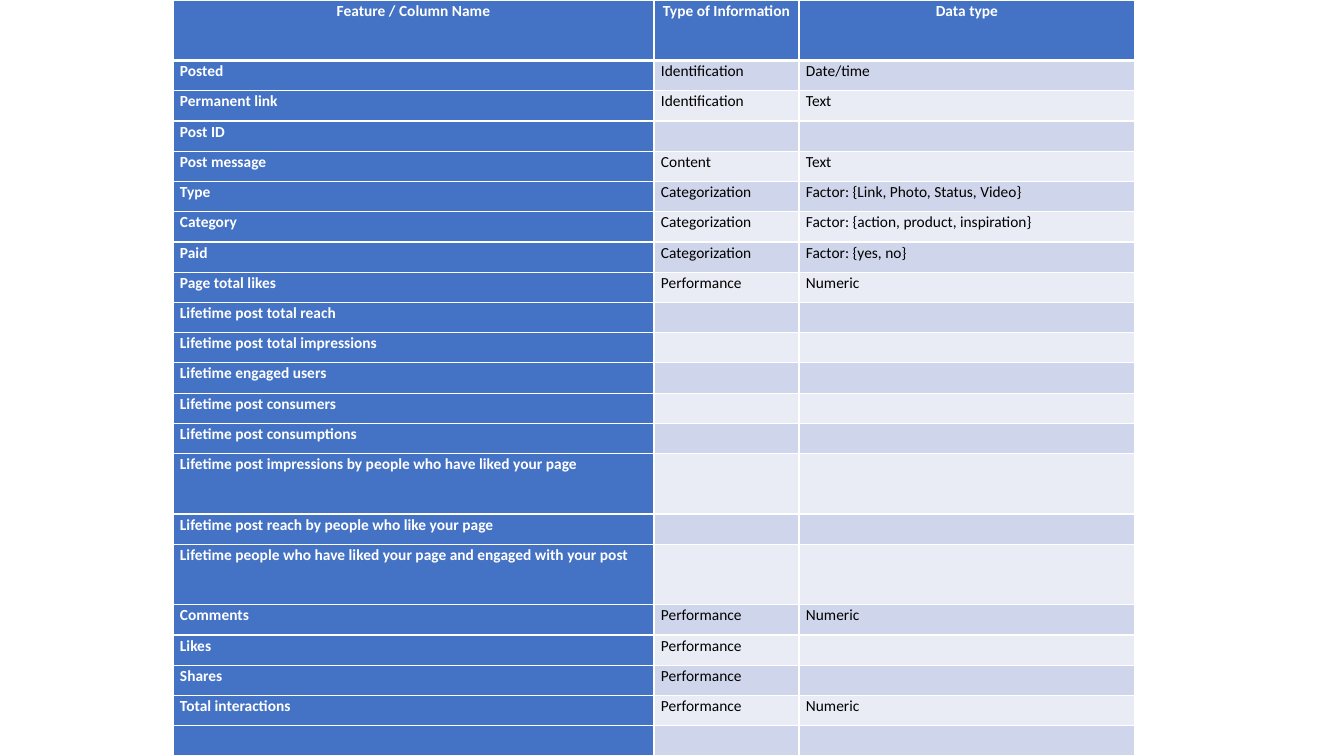
import pptx
import pptx.util
import pptx.dml.color
import pptx.enum.text
import pptx.oxml.ns
import lxml.etree

PX = 914400 / 100.8
WIDE, HIGH = 1344, 756
LEFT = 173
COLS = [481, 145, 336]
TALL = {0, 14, 16}
INK = {"blue": "4472C4", "dark": "CFD5EA", "pale": "E9EBF5",
       "white": "FFFFFF", "black": "000000"}

ROWS = [
    ("Feature / Column Name", "Type of Information", "Data type"),
    ("Posted", "Identification", "Date/time"),
    ("Permanent link", "Identification", "Text"),
    ("Post ID", "", ""),
    ("Post message", "Content", "Text"),
    ("Type", "Categorization", "Factor: {Link, Photo, Status, Video}"),
    ("Category", "Categorization", "Factor: {action, product, inspiration}"),
    ("Paid", "Categorization", "Factor: {yes, no}"),
    ("Page total likes", "Performance", "Numeric"),
    ("Lifetime post total reach", "", ""),
    ("Lifetime post total impressions", "", ""),
    ("Lifetime engaged users", "", ""),
    ("Lifetime post consumers", "", ""),
    ("Lifetime post consumptions", "", ""),
    ("Lifetime post impressions by people who have liked your page", "", ""),
    ("Lifetime post reach by people who like your page", "", ""),
    ("Lifetime people who have liked your page and engaged with your post", "", ""),
    ("Comments", "Performance", "Numeric"),
    ("Likes", "Performance", ""),
    ("Shares", "Performance", ""),
    ("Total interactions", "Performance", "Numeric"),
    ("", "", ""),
]


def emu(px):
    """Turn pixels into EMU."""
    return pptx.util.Emu(round(px * PX))


def edge(cell, side, width):
    """Draw one white border of a cell, width in points."""
    tag = pptx.oxml.ns.qn
    props = cell._tc.get_or_add_tcPr()
    line = lxml.etree.SubElement(props, tag("a:" + side), w=str(pptx.util.Pt(width)))
    fill = lxml.etree.SubElement(line, tag("a:solidFill"))
    lxml.etree.SubElement(fill, tag("a:srgbClr"), val=INK["white"])


deck = pptx.Presentation()
deck.slide_width, deck.slide_height = emu(WIDE), emu(HIGH)
slide = deck.slides.add_slide(deck.slide_layouts[6])

frame = slide.shapes.add_table(len(ROWS), len(COLS), emu(LEFT), 0,
                               emu(sum(COLS)), emu(HIGH))
table = frame.table
table.first_row = table.horz_banding = False
for col, width in zip(table.columns, COLS):
    col.width = emu(width)

# Tall rows take two units of height, the others one
unit = HIGH / (len(ROWS) + len(TALL))
for r, texts in enumerate(ROWS):
    table.rows[r].height = emu(unit * (2 if r in TALL else 1))
    for c, text in enumerate(texts):
        cell = table.cell(r, c)
        head = r == 0 or c == 0
        cell.margin_left = cell.margin_right = emu(7)
        cell.margin_top = cell.margin_bottom = 0

        for side in ("lnL", "lnR", "lnT", "lnB"):
            thick = (r, side) in {(0, "lnB"), (1, "lnT")}
            edge(cell, side, 3 if thick else 1)
        cell.fill.solid()
        shade = "blue" if head else "dark" if r % 2 else "pale"
        cell.fill.fore_color.rgb = pptx.dml.color.RGBColor.from_string(INK[shade])

        para = cell.text_frame.paragraphs[0]
        para.line_spacing = 1.07
        if r == 0:
            para.alignment = pptx.enum.text.PP_ALIGN.CENTER
        if text:
            run = para.add_run()
            run.text = text
            font = run.font
            font.name, font.size, font.bold = "Calibri", pptx.util.Pt(11), head
            tint = INK["white" if head else "black"]
            font.color.rgb = pptx.dml.color.RGBColor.from_string(tint)
        else:
            # Keep empty cells from stretching their row
            lxml.etree.SubElement(para._p, pptx.oxml.ns.qn("a:endParaRPr"), sz="1100")

deck.save("out.pptx")
